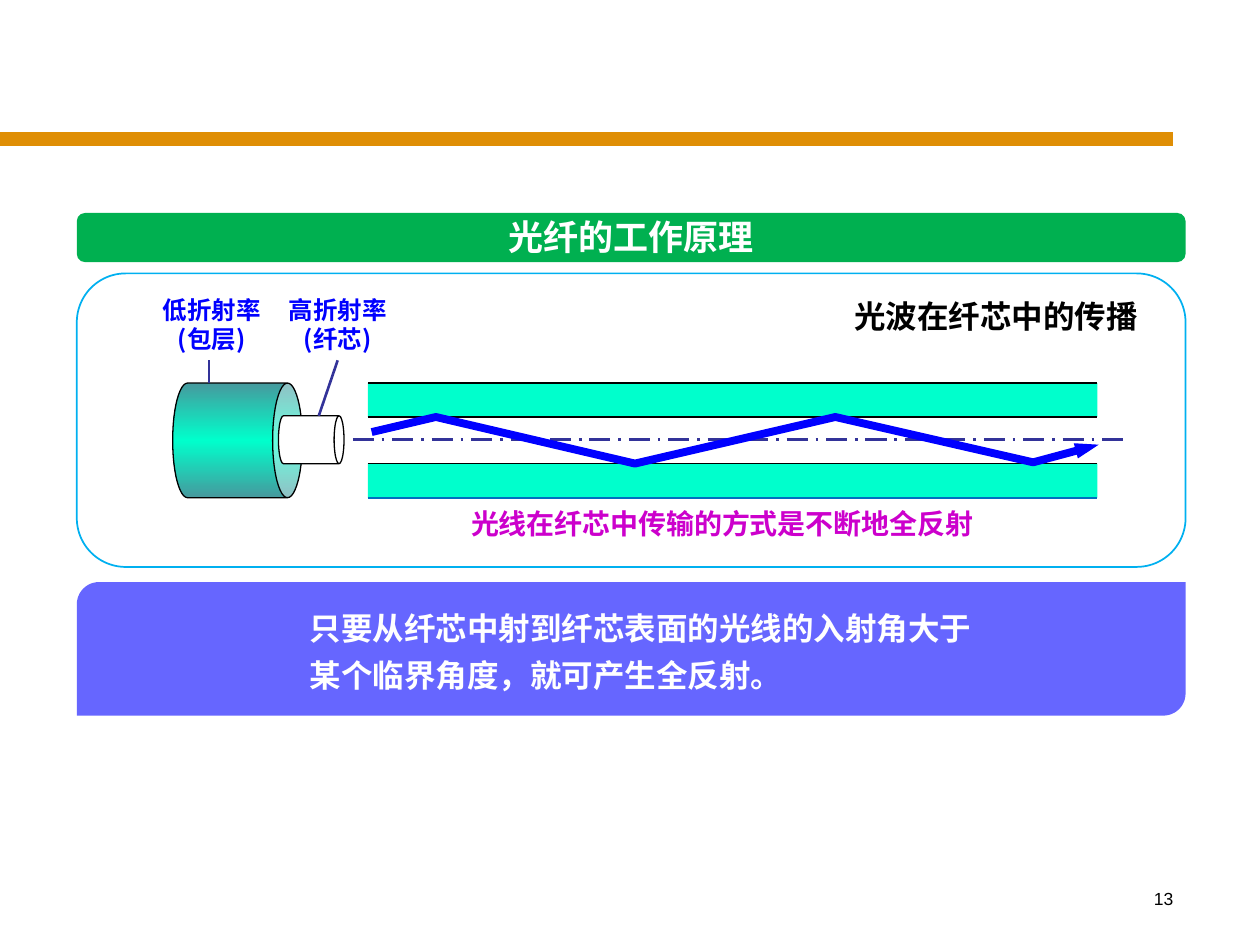
from pptx import Presentation
from pptx.dml.color import RGBColor
from pptx.enum.dml import MSO_LINE
from pptx.enum.shapes import MSO_CONNECTOR, MSO_SHAPE
from pptx.enum.text import MSO_ANCHOR, PP_ALIGN
from pptx.oxml.ns import qn
from pptx.util import Inches, Pt
from lxml.etree import SubElement

THEME = {
    "cjk": "Noto Sans CJK SC", "latin": "Arial",
    "white": "FFFFFF", "black": "000000", "rule": "DF8E05", "banner": "00B050",
    "frame": "00B0F0", "note": "6666FF", "cladding": "00FFCC", "shade": "46999D",
    "edge": "0070C0", "guide": "333399", "ray": "0000FF", "caption": "CC00CC",
    "title_size": 20, "body_size": 18, "caption_size": 16, "label_size": 14, "number_size": 10,
}

TITLE = "光纤的工作原理"
HEADING = "光波在纤芯中的传播"
CAPTION = "光线在纤芯中传输的方式是不断地全反射"
NOTE = "只要从纤芯中射到纤芯表面的光线的入射角大于某个临界角度，就可产生全反射。"
PAGE_NUMBER = "13"
# label lines, left edge, leader start, leader end
LABELS = [
    (["高折射率", "(纤芯)"], 2.19, (2.68, 2.86), (2.53, 3.3)),
    (["低折射率", "(包层)"], 1.19, (1.66, 2.86), (1.66, 3.04)),
]
RAY = [(2.95, 3.43), (3.46, 3.31), (5.04, 3.68), (6.63, 3.31), (8.2, 3.67), (8.72, 3.53)]

PANEL_LEFT, PANEL_WIDTH = 0.61, 8.8
FIBER_LEFT, FIBER_WIDTH = 2.92, 5.79
LAYERS = [(3.04, 0.27, "cladding"), (3.31, 0.37, "white"), (3.68, 0.27, "cladding")]
FIBER_EDGES = [(3.04, "black", 0.75), (3.31, "black", 0.75),
               (3.68, "black", 0.75), (3.95, "edge", 1)]
AXIS_Y = 3.49

presentation = Presentation()
presentation.slide_width, presentation.slide_height = Inches(10), Inches(7.5)
slide = presentation.slides.add_slide(presentation.slide_layouts[5])


def color(name):
    return RGBColor.from_string(THEME[name])


def add_shape(kind, box, fill, line=None, width=0.75, adjustment=None):
    shape = slide.shapes.add_shape(kind, *map(Inches, box))
    shape.shadow.inherit = False
    shape.fill.solid()
    shape.fill.fore_color.rgb = color(fill)
    if line:
        shape.line.color.rgb = color(line)
        shape.line.width = Pt(width)
    else:
        shape.line.fill.background()
    if adjustment is not None:
        shape.adjustments[0] = adjustment
    return shape


def add_line(start, end, line, width, dash=None):
    connector = slide.shapes.add_connector(
        MSO_CONNECTOR.STRAIGHT, *map(Inches, (*start, *end)))
    connector.line.color.rgb = color(line)
    connector.line.width = Pt(width)
    if dash:
        connector.line.dash_style = dash
    SubElement(connector.element.spPr, qn("a:effectLst"))


def write(shape, lines, size, fill, align=PP_ALIGN.CENTER, wrap=True,
          font="cjk", bold=True, spacing=None):
    frame = shape.text_frame
    frame.word_wrap = wrap
    frame.vertical_anchor = MSO_ANCHOR.TOP
    frame.margin_left = frame.margin_right = Inches(0.1)
    frame.margin_top = frame.margin_bottom = Inches(0.05)
    for index, text in enumerate(lines):
        paragraph = frame.add_paragraph() if index else frame.paragraphs[0]
        paragraph.alignment = align
        paragraph.space_before = Pt(0)
        if spacing:
            paragraph.line_spacing = Pt(spacing)
        run = paragraph.add_run()
        run.text = text
        run.font.size = Pt(THEME[size])
        run.font.bold = bold
        run.font.color.rgb = color(fill)
        run.font.name = THEME[font]
        SubElement(run.font._element, qn("a:ea"), typeface=THEME[font])


def add_text(box, *args, **options):
    write(slide.shapes.add_textbox(*map(Inches, box)), *args, **options)


# Page rule and number
add_line((0, 1.1), (9.31, 1.1), "rule", 8)
add_text((7.33, 7, 2.08, 0.5), [PAGE_NUMBER], "number_size", "black",
         align=PP_ALIGN.RIGHT, font="latin", bold=False)

# Title on its banner
banner = add_shape(MSO_SHAPE.ROUNDED_RECTANGLE, (PANEL_LEFT, 1.69, PANEL_WIDTH, 0.39), "banner")
title = slide.shapes.title
title.left, title.top, title.width, title.height = map(Inches, (3.61, 1.66, 2.8, 0.44))
write(title, [TITLE], "title_size", "white")
banner.element.addnext(title.element)

# Panels
add_shape(MSO_SHAPE.ROUNDED_RECTANGLE, (PANEL_LEFT, 2.17, PANEL_WIDTH, 2.33),
          "white", "frame", 1)
add_shape(MSO_SHAPE.ROUND_2_DIAG_RECTANGLE, (PANEL_LEFT, 4.62, PANEL_WIDTH, 1.06), "note")
add_text((2.36, 4.71, 5.65, 0.86), [NOTE], "body_size", "white",
         align=PP_ALIGN.LEFT, spacing=27)
add_text((6.65, 2.31, 2.51, 0.4), [HEADING], "body_size", "black", wrap=False)

# Fiber section
for top, height, fill in LAYERS:
    add_shape(MSO_SHAPE.RECTANGLE, (FIBER_LEFT, top, FIBER_WIDTH, height), fill)

# Cladding and core cylinders, lying on their side
cladding = add_shape(MSO_SHAPE.CAN, (1.43, 2.98, 0.91, 1.03), "cladding", "black",
                     adjustment=0.26)
cladding.fill.gradient()
cladding.fill.gradient_angle = 0
gradient = cladding.element.spPr.find(qn("a:gradFill"))
stops = gradient.find(qn("a:gsLst"))
for stop in list(stops):
    stops.remove(stop)
for position, name in [(0, "shade"), (50, "cladding"), (100, "shade")]:
    stop = SubElement(stops, qn("a:gs"), pos=str(position * 1000))
    SubElement(stop, qn("a:srgbClr"), val=THEME[name])
core = add_shape(MSO_SHAPE.CAN, (2.28, 3.23, 0.38, 0.52), "white", "black", adjustment=0.207)
for cylinder in (cladding, core):
    cylinder.rotation = 90

for y, line, width in FIBER_EDGES:
    add_line((FIBER_LEFT, y), (FIBER_LEFT + FIBER_WIDTH, y), line, width)
add_line((2.8, AXIS_Y), (8.93, AXIS_Y), "guide", 1.5, MSO_LINE.LONG_DASH_DOT)

for lines, left, start, end in LABELS:
    add_text((left, 2.29, 0.98, 0.57), lines, "label_size", "ray", wrap=False)
    add_line(start, end, "guide", 1.5)
add_text((3.64, 3.97, 4.2, 0.37), [CAPTION], "caption_size", "caption",
         align=PP_ALIGN.LEFT, wrap=False)

# Light ray
points = [(Inches(x), Inches(y)) for x, y in RAY]
builder = slide.shapes.build_freeform(*points[0])
builder.add_line_segments(points[1:], close=False)
ray = builder.convert_to_shape()
ray.shadow.inherit = False
ray.fill.background()
ray.line.color.rgb = color("ray")
ray.line.width = Pt(4.5)
SubElement(ray.line._get_or_add_ln(), qn("a:tailEnd"), type="triangle", w="sm")

presentation.save("out.pptx")
